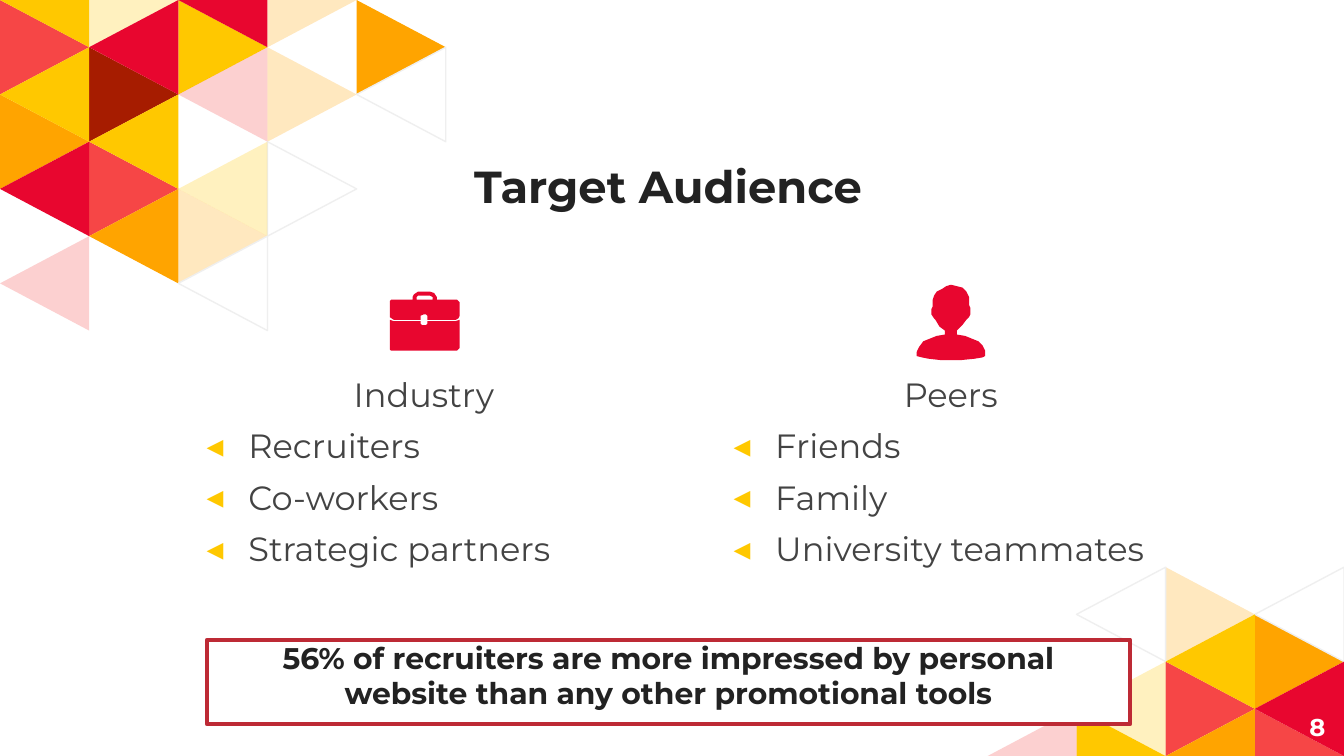
"""Builds the Target Audience slide with its triangle mosaics, icons and banner."""
from dataclasses import dataclass
from typing import NamedTuple, Optional

from lxml.etree import SubElement
from pptx import Presentation
from pptx.dml.color import RGBColor as RGB
from pptx.enum.shapes import MSO_SHAPE as Shape
from pptx.enum.text import MSO_ANCHOR as Anchor, PP_ALIGN as Align
from pptx.oxml.ns import qn
from pptx.util import Inches, Pt


@dataclass(frozen=True)
class Theme:
    font: str = "Montserrat"
    white: str = "FFFFFF"
    ink: str = "222222"
    body: str = "434343"
    red: str = "E8062F"
    coral: str = "F64646"
    amber: str = "FFA400"
    yellow: str = "FFC800"
    brown: str = "A61C00"
    outline: str = "EFEFEF"
    border: str = "BD2A35"
    title_size: int = 24
    body_size: int = 18
    banner_size: int = 16
    number_size: int = 13


T = Theme()


class Paint(NamedTuple):
    fill: str
    alpha: int = 100
    line: Optional[str] = None


class Mosaic(NamedTuple):
    left: float
    top: float
    rows: int
    right_pointing: list
    left_pointing: list


class Box(NamedTuple):
    left: float
    top: float
    width: float
    height: float


class Audience(NamedTuple):
    box: Box
    heading: str
    members: tuple


STEP_X, STEP_Y = 1.99 / 3, 2.46 / 7
RED, CORAL, AMBER, YELLOW, BROWN = map(Paint, (T.red, T.coral, T.amber, T.yellow, T.brown))
PALE_CORAL, PALE_AMBER, PALE_YELLOW = (Paint(c, 25) for c in (T.coral, T.amber, T.yellow))
HOLLOW = Paint(T.white, line=T.outline)

MOSAICS = [
    Mosaic(0, 0, 7,
           [(0, 2, AMBER), (1, 1, BROWN), (1, 3, CORAL), (3, 1, PALE_AMBER),
            (2, 4, PALE_AMBER), (3, 3, HOLLOW), (0, 0, CORAL), (1, -1, PALE_YELLOW),
            (2, 0, YELLOW), (3, -1, PALE_AMBER), (4, 0, AMBER)],
           [(0, 1, YELLOW), (1, 2, YELLOW), (0, 3, RED), (1, 4, AMBER),
            (0, 5, PALE_CORAL), (2, 1, PALE_CORAL), (2, 3, PALE_YELLOW),
            (2, 5, HOLLOW), (4, 1, HOLLOW), (0, -1, YELLOW), (1, 0, RED), (2, -1, RED)]),
    Mosaic(10 - 4 * STEP_X, 4.22, 4,
           [(2, 0, PALE_AMBER), (3, 1, AMBER), (1, 3, YELLOW), (2, 2, CORAL), (3, 3, CORAL)],
           [(1, 0, HOLLOW), (3, 0, HOLLOW), (2, 1, YELLOW), (1, 2, PALE_YELLOW),
            (2, 3, AMBER), (3, 2, RED), (0, 3, PALE_CORAL)]),
]

AUDIENCES = [
    Audience(Box(1.44, 2.68, 3.43, 1.76), "Industry",
             ("Recruiters", "Co-workers", "Strategic partners")),
    Audience(Box(5.36, 2.68, 3.43, 1.76), "Peers",
             ("Friends", "Family", "University teammates")),
]

PERSON = [[
    (7.07, 2.12), (7.04, 2.13), (7.01, 2.15), (6.97, 2.17), (6.95, 2.2), (6.94, 2.23),
    (6.94, 2.28), (6.93, 2.3), (6.93, 2.34), (6.95, 2.37), (6.96, 2.38), (6.99, 2.43),
    (7.03, 2.46), (7.03, 2.49), (6.97, 2.5), (6.92, 2.52), (6.87, 2.54), (6.84, 2.58),
    (6.82, 2.62), (6.82, 2.65), (6.86, 2.66), (6.91, 2.67), (7, 2.68), (7.15, 2.68),
    (7.25, 2.67), (7.31, 2.66), (7.33, 2.65), (7.33, 2.61), (7.31, 2.57), (7.28, 2.54),
    (7.23, 2.52), (7.18, 2.5), (7.12, 2.49), (7.12, 2.46), (7.16, 2.42), (7.19, 2.38),
    (7.21, 2.36), (7.22, 2.34), (7.22, 2.29), (7.21, 2.27), (7.21, 2.21), (7.19, 2.17),
    (7.16, 2.14), (7.12, 2.13), (7.08, 2.12)]]
CASE_LID = [
    [(3.2, 2.2), (3.22, 2.21), (3.22, 2.23), (3.1, 2.23), (3.1, 2.21), (3.11, 2.2)],
    [(3.11, 2.17), (3.08, 2.19), (3.07, 2.21), (3.07, 2.23), (2.91, 2.23), (2.9, 2.24),
     (2.9, 2.36), (2.93, 2.38), (3.13, 2.38), (3.13, 2.35), (3.15, 2.34), (3.17, 2.34),
     (3.18, 2.35), (3.18, 2.38), (3.39, 2.38), (3.41, 2.37), (3.42, 2.35), (3.42, 2.25),
     (3.4, 2.23), (3.25, 2.23), (3.25, 2.21), (3.23, 2.18), (3.2, 2.17)]]
CASE_BASE = [[
    (2.9, 2.38), (2.9, 2.6), (2.91, 2.61), (3.4, 2.61), (3.42, 2.59), (3.42, 2.38),
    (3.39, 2.39), (3.18, 2.39), (3.18, 2.41), (3.17, 2.42), (3.14, 2.42), (3.13, 2.41),
    (3.13, 2.39), (2.93, 2.39)]]


def draw_outline(s, contours: list, paint: Paint) -> None:
    first, *others = [[(Inches(x), Inches(y)) for x, y in c] for c in contours]
    builder = s.shapes.build_freeform(*first[0], scale=1.0)
    builder.add_line_segments(first[1:], close=True)
    for contour in others:
        builder.move_to(*contour[0])
        builder.add_line_segments(contour[1:], close=True)
    sp = builder.convert_to_shape()
    sp.shadow.inherit = False
    sp.fill.solid()
    sp.fill.fore_color.rgb = RGB.from_string(paint.fill)
    if paint.alpha < 100:
        color = sp._element.spPr.find(qn("a:solidFill"))[0]
        SubElement(color, qn("a:alpha"), val=str(paint.alpha * 1000))
    if paint.line:
        sp.line.color.rgb = RGB.from_string(paint.line)
        sp.line.width = Pt(0.75)
    else:
        sp.line.fill.background()


def draw_mosaic(s, m: Mosaic) -> None:
    for tiles, base, apex in ((m.right_pointing, 0, 1), (m.left_pointing, 1, 0)):
        for col, row, paint in tiles:
            corners = [(col + base, max(row, 0)), (col + base, min(row + 2, m.rows)),
                       (col + apex, row + 1)]
            draw_outline(s, [[(m.left + x * STEP_X, m.top + y * STEP_Y)
                              for x, y in corners]], paint)


def set_frame(tf, anchor: Anchor) -> None:
    tf.word_wrap = True
    tf.vertical_anchor = anchor
    tf.margin_left = tf.margin_right = tf.margin_top = tf.margin_bottom = Inches(0.1)


def add_run(p, text: str, size: int, color: str, bold: bool = False) -> None:
    r = p.add_run()
    r.text = text
    r.font.name = T.font
    r.font.size = Pt(size)
    r.font.bold = bold
    r.font.color.rgb = RGB.from_string(color)


def add_text_box(s, box: Box, anchor: Anchor):
    tf = s.shapes.add_textbox(*map(Inches, box)).text_frame
    set_frame(tf, anchor)
    return tf


def add_label(tf, text: str, size: int, color: str, align: Align) -> None:
    p = tf.paragraphs[0]
    p.alignment = align
    add_run(p, text, size, color, bold=True)


def add_bullet(p) -> None:
    props = p._p.get_or_add_pPr()
    props.set("marL", str(Inches(0.31)))
    props.set("indent", str(Inches(-0.31)))
    SubElement(SubElement(props, qn("a:buClr")), qn("a:srgbClr"), val=T.yellow)
    SubElement(props, qn("a:buFont"), typeface=T.font)
    SubElement(props, qn("a:buChar"), char="◂")


def draw_audience(s, audience: Audience) -> None:
    tf = add_text_box(s, audience.box, Anchor.TOP)
    heading = tf.paragraphs[0]
    heading.alignment = Align.CENTER
    heading.space_before = Pt(6)
    add_run(heading, audience.heading, T.body_size, T.body)
    for member in audience.members:
        p = tf.add_paragraph()
        p.alignment = Align.LEFT
        p.space_before = Pt(6)
        add_bullet(p)
        add_run(p, member, T.body_size, T.body)


def draw_banner(s, box: Box, text: str) -> None:
    sp = s.shapes.add_shape(Shape.RECTANGLE, *map(Inches, box))
    sp.shadow.inherit = False
    sp.fill.solid()
    sp.fill.fore_color.rgb = RGB.from_string(T.white)
    sp.line.color.rgb = RGB.from_string(T.border)
    sp.line.width = Pt(2)
    set_frame(sp.text_frame, Anchor.BOTTOM)
    add_label(sp.text_frame, text, T.banner_size, T.ink, Align.CENTER)


def main() -> None:
    prs = Presentation()
    prs.slide_width, prs.slide_height = Inches(10), Inches(10 * 9 / 16)
    s = prs.slides.add_slide(prs.slide_layouts[6])
    for mosaic in MOSAICS:
        draw_mosaic(s, mosaic)
    title = add_text_box(s, Box(1.44, 0.95, 7.06, 0.73), Anchor.BOTTOM)
    add_label(title, "Target Audience", T.title_size, T.ink, Align.CENTER)
    for audience in AUDIENCES:
        draw_audience(s, audience)
    number = add_text_box(s, Box(9.36, 5.19, 0.6, 0.43), Anchor.MIDDLE)
    add_label(number, "8", T.number_size, T.white, Align.RIGHT)
    for icon in (PERSON, CASE_LID, CASE_BASE):
        draw_outline(s, icon, RED)
    draw_banner(s, Box(1.54, 4.76, 6.87, 0.63),
                "56% of recruiters are more impressed by personal website "
                "than any other promotional tools")
    prs.save("out.pptx")


if __name__ == "__main__":
    main()
